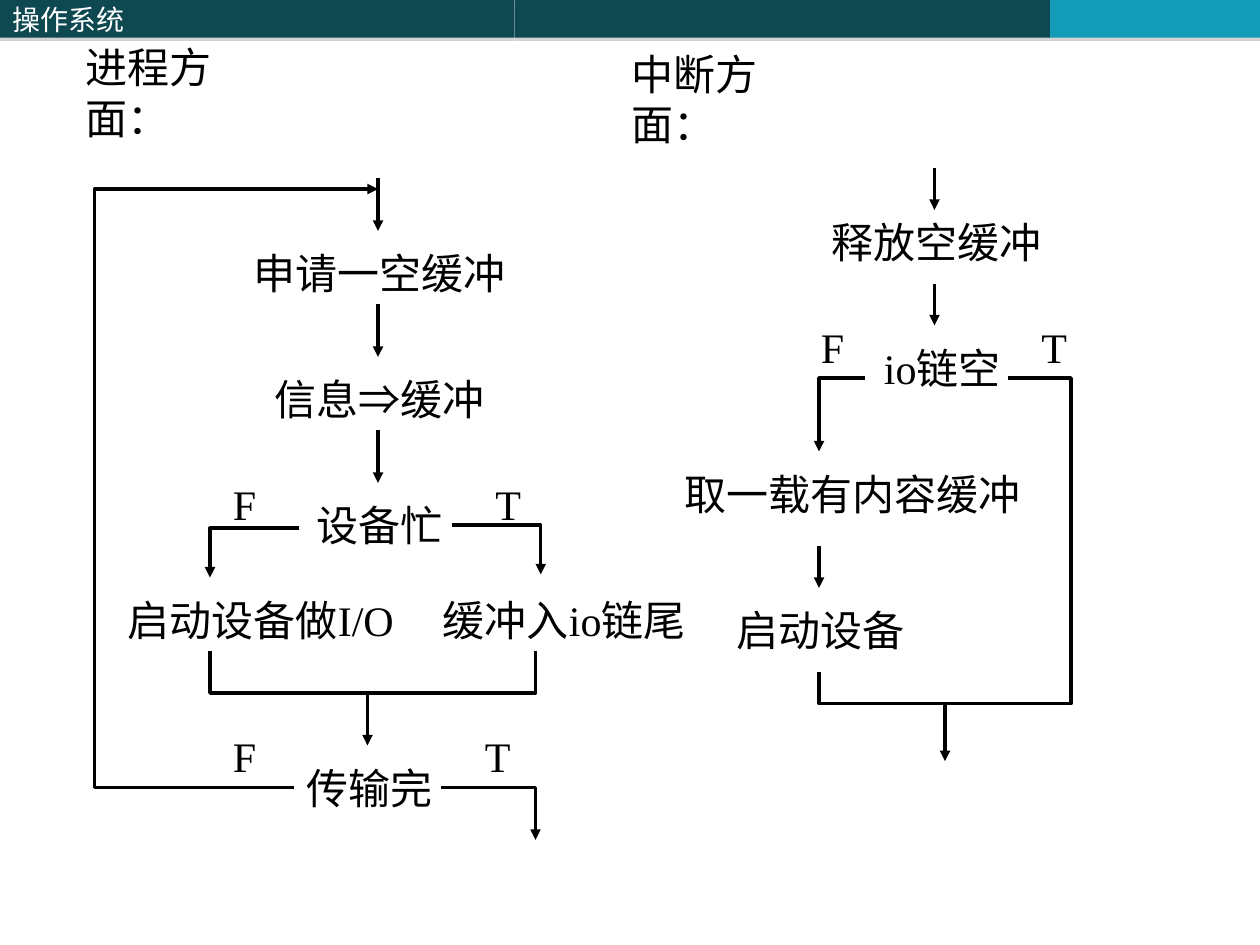
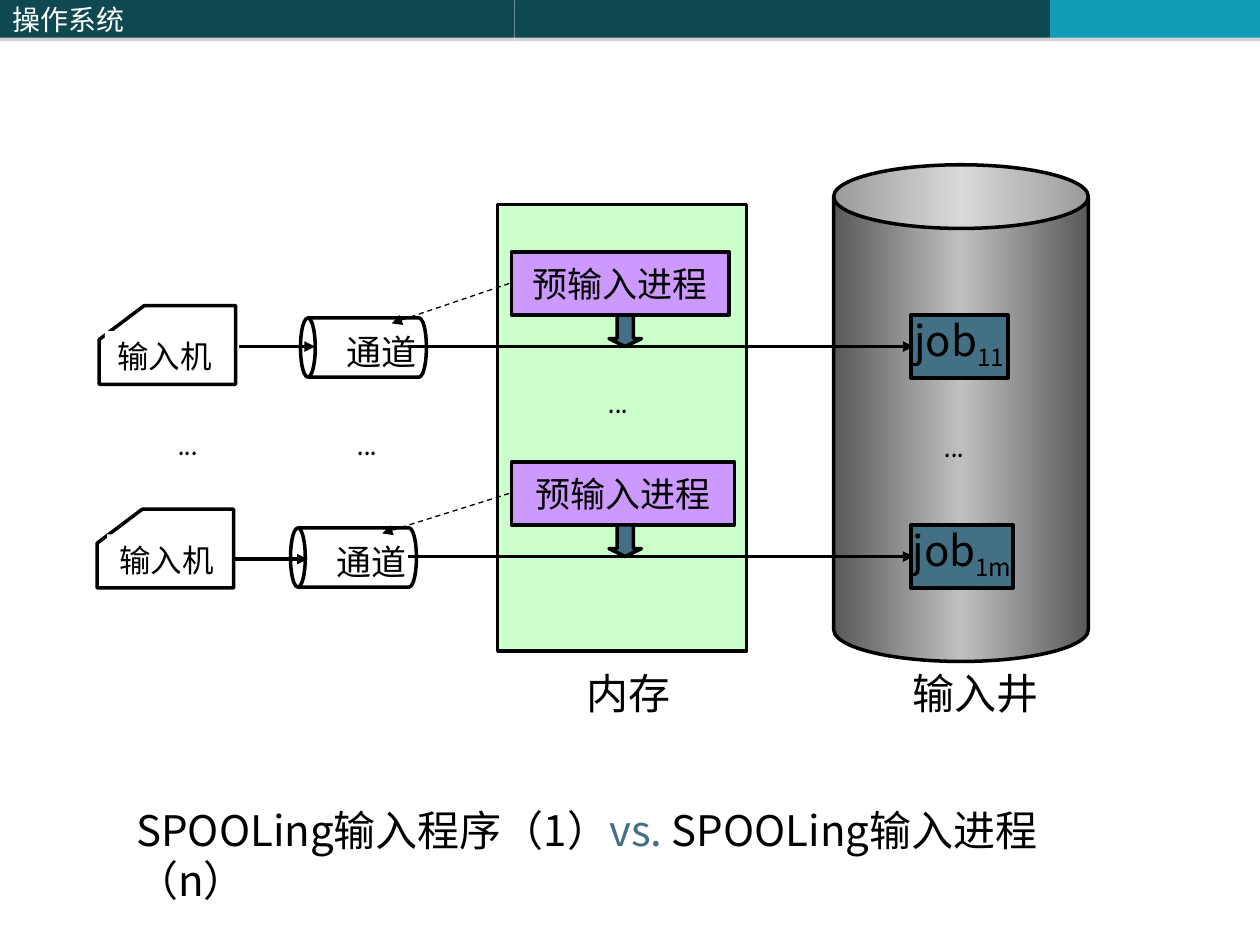
"""Build two operating-system slides: buffered I/O flow and SPOOLing input."""
from typing import NamedTuple

from lxml import etree
from pptx import Presentation
from pptx import util as u
from pptx.dml.color import RGBColor
from pptx.enum import dml, shapes, text
from pptx.oxml import parse_xml
from pptx.oxml.ns import qn

COLS, ROWS = 120, 90
WIDE, HIGH = u.Inches(10), u.Inches(7.5)
HUES = {
    "ink": "000000", "white": "FFFFFF", "band": "0E4851", "tip": "139CB7",
    "steel": "437085", "mint": "CCFFCC", "lilac": "CC99FF",
    "dark": "595959", "light": "C0C0C0", "shade": "808080",
}
SANS, SERIF, DOTS = "Noto Sans CJK SC", "Times New Roman", "Comic Neue"
NS = 'xmlns:a="http://schemas.openxmlformats.org/drawingml/2006/main"'
KIND = shapes.MSO_SHAPE


class Bit(NamedTuple):
    words: str
    font: str = SANS
    hue: str = "ink"
    base: int = 0


class Box(NamedTuple):
    col: float
    row: float
    wide: float
    high: float


class Note(NamedTuple):
    box: Box
    bits: list
    size: int = 24


class Wire(NamedTuple):
    spots: list
    head: bool = True
    width: float = 2
    dash: bool = False


class Lane(NamedTuple):
    mid: float
    card: tuple
    label: tuple
    can: float
    feed: tuple
    tip: float
    proc: float
    job: float
    mark: str


def across(col: float) -> int:
    return round(WIDE * col / COLS)


def down(row: float) -> int:
    return round(HIGH * row / ROWS)


def frame(box: Box) -> tuple:
    return across(box.col), down(box.row), across(box.wide), down(box.high)


def hue(name: str) -> RGBColor:
    return RGBColor.from_string(HUES[name])


def write(shape, bits: list, size: int, wrap: bool, align, anchor) -> None:
    body = shape.text_frame
    body.word_wrap, body.vertical_anchor = wrap, anchor
    para = body.paragraphs[0]
    para.alignment = align
    para.line_spacing = u.Pt(size * 1.2)
    para._p.get_or_add_pPr().set("hangingPunct", "0")
    for bit in bits:
        run = para.add_run()
        run.text = bit.words
        run.font.size, run.font.name = u.Pt(size), bit.font
        run.font.color.rgb = hue(bit.hue)
        props = run.font._element
        etree.SubElement(props, qn("a:ea")).set("typeface", SANS)
        if bit.base:
            props.set("baseline", str(bit.base * 1000))


def note(slide, item: Note) -> None:
    shape = slide.shapes.add_textbox(*frame(item.box))
    write(shape, item.bits, item.size, True, text.PP_ALIGN.LEFT, text.MSO_ANCHOR.TOP)


def style(shape, fill: str = "", edge: bool = True) -> None:
    shape.shadow.inherit = False
    if fill:
        shape.fill.solid()
        shape.fill.fore_color.rgb = hue(fill)
    else:
        shape.fill.background()
    if edge:
        shape.line.color.rgb, shape.line.width = hue("ink"), u.Pt(2)
    else:
        shape.line.fill.background()


def block(slide, kind, box: Box, fill: str = "", edge: bool = True):
    shape = slide.shapes.add_shape(kind, *frame(box))
    style(shape, fill, edge)
    return shape


def panel(slide, box: Box, fill: str, bits: list, size: int) -> None:
    shape = block(slide, KIND.RECTANGLE, box, fill)
    write(shape, bits, size, False, text.PP_ALIGN.CENTER, text.MSO_ANCHOR.MIDDLE)


def trace(slide, spots: list, close: bool):
    pts = [(across(col), down(row)) for col, row in spots]
    pen = slide.shapes.build_freeform(*pts[0])
    pen.add_line_segments(pts[1:], close=close)
    return pen.convert_to_shape()


def wire(slide, item: Wire) -> None:
    if len(item.spots) == 2:
        ends = [fn(val) for spot in item.spots for fn, val in zip((across, down), spot)]
        shape = slide.shapes.add_connector(shapes.MSO_CONNECTOR.STRAIGHT, *ends)
        etree.SubElement(shape._element.spPr, qn("a:effectLst"))
    else:
        shape = trace(slide, item.spots, False)
        style(shape)
    shape.line.color.rgb, shape.line.width = hue("ink"), u.Pt(item.width)
    if item.dash:
        shape.line.dash_style = dml.MSO_LINE.DASH
    if item.head:
        etree.SubElement(shape.line._get_or_add_ln(), qn("a:tailEnd")).set("type", "triangle")


def bands(slide) -> None:
    left = 0
    for wide, fill, words in ((49, "band", "操作系统"), (51, "band", ""), (20, "tip", "")):
        shape = block(slide, KIND.RECTANGLE, Box(left, 0, wide, 3.6), fill, False)
        glow = shape._element.spPr.find(qn("a:effectLst"))
        glow.append(parse_xml(
            f'<a:outerShdw {NS} blurRad="0" dist="{u.Pt(1.8)}" dir="5400000">'
            f'<a:srgbClr val="{HUES["shade"]}"><a:alpha val="35000"/></a:srgbClr></a:outerShdw>'))
        if words:
            write(shape, [Bit(words, hue="white")], 16, True,
                  text.PP_ALIGN.LEFT, text.MSO_ANCHOR.MIDDLE)
        left += wide


def flow(slide) -> None:
    for col, row, words in ((7, 3.4, "进程方面："), (59, 4, "中断方面：")):
        note(slide, Note(Box(col, row, 22, 6), [Bit(words)]))
    steps = (
        (23, 23, 28, "申请一空缓冲"), (29, 47, 16, "设备忙"),
        (11, 56, 31, "启动设备做I/O"), (41, 56, 26, "缓冲入io链尾"),
        (28, 72, 18, "传输完"), (78, 20, 23, "释放空缓冲"),
        (83, 32, 16, "io链空"), (64, 44, 35, "取一载有内容缓冲"),
        (69, 57, 19, "启动设备"),
        (21, 45, 5, "F"), (46, 45, 5, "T"), (21, 69, 5, "F"), (45, 69, 5, "T"),
        (77, 30, 5, "F"), (98, 30, 5, "T"),
    )
    for col, row, wide, words in steps:
        note(slide, Note(Box(col, row, wide, 6), [Bit(words, SERIF)]))
    note(slide, Note(Box(25, 35, 24, 6),
                     [Bit("信息", SERIF), Bit("⇒", "Arial"), Bit("缓冲", SERIF)]))
    drops = [(36, row, 5) for row in (17, 29, 41)] + [
        (35, 66, 5), (89, 16, 4), (89, 27, 4), (78, 52, 4), (90, 67, 5.5)]
    for col, row, high in drops:
        wire(slide, Wire([(col, row), (col, row + high)]))
    turns = ((43, 51.5, 50, 4.7), (28.5, 20, 50.3, 4.7),
             (42, 51, 75, 5), (82.4, 78, 36, 7))
    for start, end, row, high in turns:
        wire(slide, Wire([(start, row), (end, row), (end, row + high)]))
    wire(slide, Wire([(28, 75), (9, 75), (9, 18), (36, 18)]))
    wire(slide, Wire([(20, 62), (20, 66), (51, 66), (51, 62)], head=False))
    wire(slide, Wire([(96, 36), (102, 36), (102, 67), (78, 67), (78, 64)], head=False))


def lane(slide, item: Lane) -> None:
    mid, (left, top) = item.mid, item.card
    right, foot = left + 13, top + 7.5
    card = trace(slide, [(left + 4.3, top), (right, top), (right, foot),
                         (left, foot), (left, top + 3.24)], True)
    style(card, "white")
    tag = Box(*item.label, 11.8, 4.8)
    block(slide, KIND.RECTANGLE, tag, "white", False)
    note(slide, Note(tag, [Bit("输入机")], 18))
    panel(slide, Box(48.7, mid - 9, item.proc, 6), "lilac", [Bit("预输入进程")], 20)
    can = block(slide, KIND.CAN, Box(item.can, mid - 5.9, 5.64, 12))
    can.rotation = 270
    note(slide, Note(Box(item.can, mid - 2.15, 11.3, 5.3), [Bit("通道")], 20))
    panel(slide, Box(86.75, mid - 3, item.job, 6), "steel",
          [Bit("job"), Bit(item.mark, base=-25)], 24)
    start, row = item.feed
    wire(slide, Wire([(start, row), (start + 7.2, row)]))
    wire(slide, Wire([(38.9, mid), (87, mid)]))
    arrow = block(slide, KIND.DOWN_ARROW, Box(58, mid - 3, 3.1, 3), "steel")
    arrow.adjustments[1] = 0.25
    wire(slide, Wire([(48.5, mid - 6), (item.tip, mid - 2.2)], width=0.75, dash=True))


def spool(slide) -> None:
    well = block(slide, KIND.CAN, Box(79.4, 15.7, 24.25, 47.3))
    stops = "".join(
        f'<a:gs pos="{pos}000"><a:srgbClr val="{HUES[name]}"/></a:gs>'
        for pos, name in ((0, "dark"), (50, "light"), (100, "dark")))
    props = well._element.spPr
    props.replace(props.find(qn("a:noFill")), parse_xml(
        f'<a:gradFill {NS}><a:gsLst>{stops}</a:gsLst><a:lin ang="0" scaled="0"/></a:gradFill>'))
    block(slide, KIND.RECTANGLE, Box(47.4, 19.5, 23.7, 42.5), "mint")
    lanes = (
        Lane(33, (9.45, 29.1), (10, 31.55), 31.8, (22.8, 33), 37.3, 20.75, 9.25, "11"),
        Lane(53, (9.25, 48.5), (10.2, 50.9), 30.85, (22.1, 53.25), 36.4, 21.25, 9.75, "1m"),
    )
    for item in lanes:
        lane(slide, item)
    for col, row in ((15.8, 38.75), (32.9, 38.75), (56.8, 34.75), (88.8, 39)):
        note(slide, Note(Box(col, row, 7, 6), [Bit("...", DOTS)]))
    for col, wide, words in ((54.7, 12.25, "内存"), (85.7, 16.3, "输入井")):
        note(slide, Note(Box(col, 63, wide, 6), [Bit(words)]))
    note(slide, Note(Box(11.8, 76, 95.2, 10.8), [
        Bit("SPOOLing输入程序（1）"), Bit("vs.", hue="steel"), Bit(" SPOOLing输入进程（n）")]))


def main() -> None:
    deck = Presentation()
    deck.slide_width, deck.slide_height = WIDE, HIGH
    for draw in (flow, spool):
        slide = deck.slides.add_slide(deck.slide_layouts[6])
        bands(slide)
        draw(slide)
    deck.save("out.pptx")


if __name__ == "__main__":
    main()
